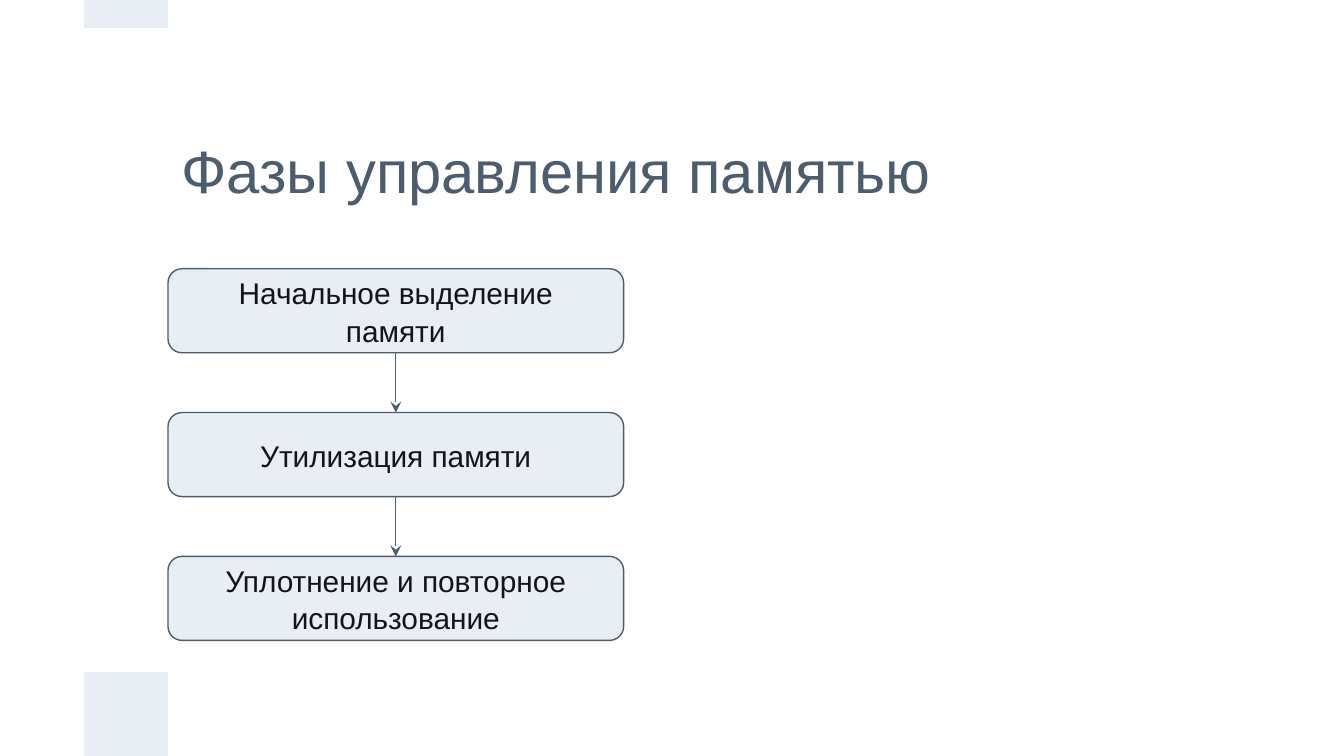
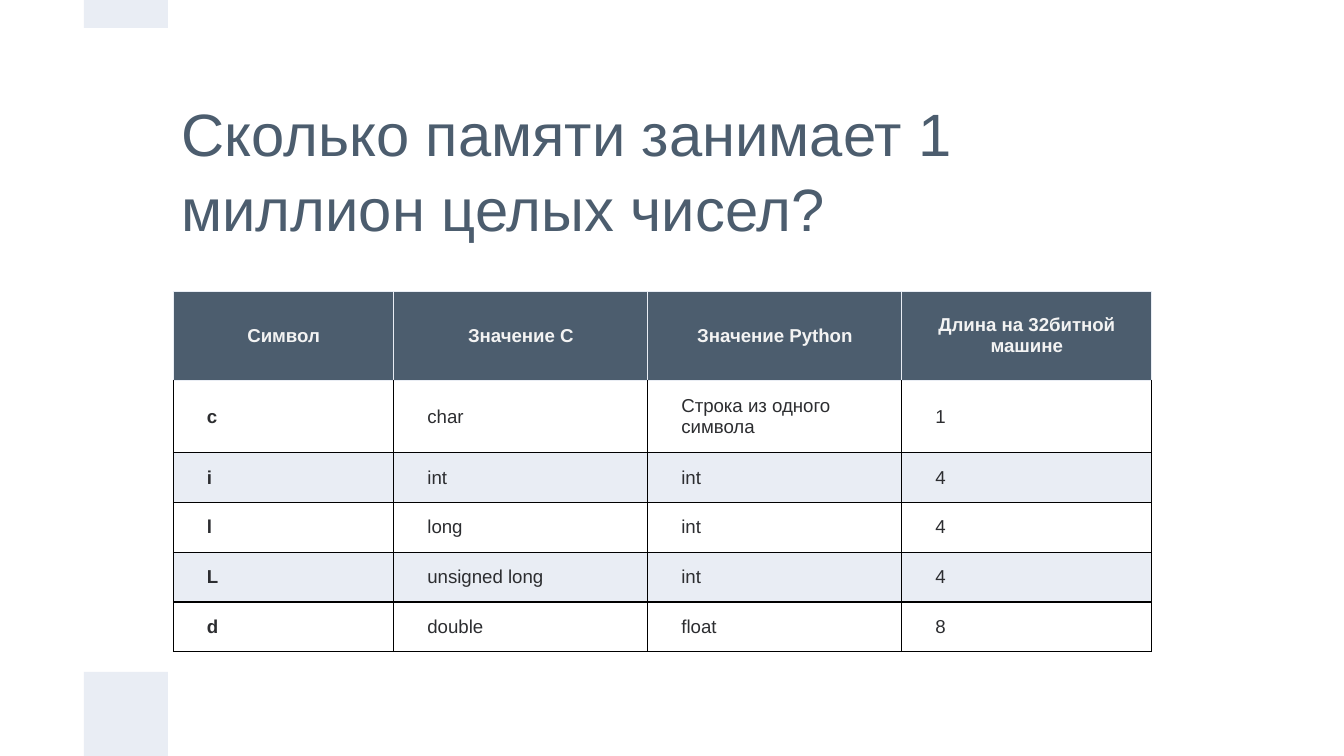
"""Build two slides on memory management: a flow of phases and a table of type sizes."""
import itertools

import pptx
import pptx.dml.color
import pptx.enum.shapes
import pptx.enum.text
import pptx.oxml
import pptx.oxml.ns
import pptx.util

PHASES_TITLE = "Фазы управления памятью"
PHASES = [
    "Начальное выделение памяти",
    "Утилизация памяти",
    "Уплотнение и повторное использование",
]
SIZES_TITLE = "Сколько памяти занимает 1 миллион целых чисел?"
SIZES = [
    ("Символ", "Значение C", "Значение Python", "Длина на 32битной машине"),
    ("c", "char", "Строка из одного символа", "1"),
    ("i", "int", "int", "4"),
    ("l", "long", "int", "4"),
    ("L", "unsigned long", "int", "4"),
    ("d", "double", "float", "8"),
]

COLORS = {
    "slate": "4C5D6E",
    "pale": "E9EDF4",
    "ink": "13131E",
    "header": "F3F3F3",
    "body": "2C2D30",
    "grid": "000000",
}
FONT = "Arial"
LINE_WIDTH = 0.75
WIDTH = 10
UNIT = WIDTH / 16
HEIGHT = 9 * UNIT

BANDS = [(UNIT, 8 * UNIT, UNIT, UNIT), (UNIT, 0, UNIT, UNIT / 3)]
TITLE_AREA = (2 * UNIT, UNIT, 12 * UNIT, 2 * UNIT)
PHASE_LEFT, PHASE_TOP, PHASE_WIDTH, PHASE_STEP = 2 * UNIT, 2, 3.39, 1.07
TABLE_LEFT, TABLE_TOP = 1.29, 2.17
COLUMN_WIDTHS = [1.64, 1.89, 1.89, 1.86]
ROW_HEIGHTS = [0.66, 0.54] + [0.37] * 4

CENTER = pptx.enum.text.PP_ALIGN.CENTER
LEFT = pptx.enum.text.PP_ALIGN.LEFT
MIDDLE = pptx.enum.text.MSO_ANCHOR.MIDDLE
TITLE_STYLE = {"size": 32, "color": "slate", "align": LEFT, "spacing": 1.05}
PHASE_STYLE = {"size": 16, "color": "ink", "align": CENTER, "spacing": 1.05}
HEADER_STYLE = {"size": 10, "color": "header", "align": CENTER, "bold": True}
BODY_STYLE = {"size": 10, "color": "body", "align": LEFT}


def inches(*lengths):
    return [pptx.util.Inches(length) for length in lengths]


def rgb(color):
    return pptx.dml.color.RGBColor.from_string(COLORS[color])


def set_values(target, values):
    for name, value in values.items():
        setattr(target, name, value)


def margins(side, end):
    side, end = inches(side, end)
    return {"margin_left": side, "margin_right": side, "margin_top": end, "margin_bottom": end}


def write(frame, text, size, color, align, bold=False, spacing=1.0):
    paragraph = frame.paragraphs[0]
    set_values(paragraph, {"alignment": align, "line_spacing": spacing})
    run = paragraph.add_run()
    run.text = text
    set_values(run.font, {"name": FONT, "size": pptx.util.Pt(size), "bold": bold})
    run.font.color.rgb = rgb(color)


def fill(part, color):
    part.fill.solid()
    part.fill.fore_color.rgb = rgb(color)


def outline(part):
    part.line.color.rgb = rgb("slate")
    part.line.width = pptx.util.Pt(LINE_WIDTH)


def add_block(slide, preset, area):
    block = slide.shapes.add_shape(preset, *inches(*area))
    block.shadow.inherit = False
    fill(block, "pale")
    return block


def add_slide(deck, heading):
    slide = deck.slides.add_slide(deck.slide_layouts[5])
    for area in BANDS:
        band = add_block(slide, pptx.enum.shapes.MSO_SHAPE.RECTANGLE, area)
        band.line.fill.background()
    title = slide.shapes.title
    set_values(title, dict(zip(("left", "top", "width", "height"), inches(*TITLE_AREA))))
    set_values(title.text_frame, {
        "word_wrap": True,
        "auto_size": pptx.enum.text.MSO_AUTO_SIZE.NONE,
        "vertical_anchor": MIDDLE,
        **margins(0.1, 0.1),
    })
    write(title.text_frame, heading, **TITLE_STYLE)
    return slide


def add_arrow(slide, start, end):
    arrow = slide.shapes.add_connector(pptx.enum.shapes.MSO_CONNECTOR.STRAIGHT, 0, 0, 0, 0)
    arrow.begin_connect(start, 2)
    arrow.end_connect(end, 0)
    outline(arrow)
    namespace = pptx.oxml.ns.nsdecls("a")
    arrow.line._get_or_add_ln().append(
        pptx.oxml.parse_xml(f'<a:tailEnd {namespace} type="stealth"/>'))
    arrow._element.spPr.append(pptx.oxml.parse_xml(f"<a:effectLst {namespace}/>"))


def add_phases(slide):
    boxes = []
    for index, phase in enumerate(PHASES):
        area = (PHASE_LEFT, PHASE_TOP + index * PHASE_STEP, PHASE_WIDTH, UNIT)
        box = add_block(slide, pptx.enum.shapes.MSO_SHAPE.ROUNDED_RECTANGLE, area)
        outline(box)
        set_values(box.text_frame, {
            "word_wrap": True, "vertical_anchor": MIDDLE, **margins(0.1, 0.05)})
        write(box.text_frame, phase, **PHASE_STYLE)
        boxes.append(box)
    for start, end in itertools.pairwise(boxes):
        add_arrow(slide, start, end)


def add_borders(cell, row):
    properties = cell._tc.get_or_add_tcPr()
    for index, side in enumerate("LRTB"):
        pale = row == 0 or (row == 1 and side == "T")
        color = COLORS["pale" if pale else "grid"]
        properties.insert(index, pptx.oxml.parse_xml(
            f'<a:ln{side} {pptx.oxml.ns.nsdecls("a")} w="{pptx.util.Pt(LINE_WIDTH)}">'
            f'<a:solidFill><a:srgbClr val="{color}"/></a:solidFill></a:ln{side}>'))


def add_sizes(slide):
    area = (TABLE_LEFT, TABLE_TOP, sum(COLUMN_WIDTHS), sum(ROW_HEIGHTS))
    table = slide.shapes.add_table(len(SIZES), len(COLUMN_WIDTHS), *inches(*area)).table
    set_values(table, {"first_row": False, "horz_banding": False})
    for column, width in zip(table.columns, inches(*COLUMN_WIDTHS)):
        column.width = width
    for line, height in zip(table.rows, inches(*ROW_HEIGHTS)):
        line.height = height
    for row, values in enumerate(SIZES):
        for column, value in enumerate(values):
            cell = table.cell(row, column)
            set_values(cell, {"vertical_anchor": MIDDLE, **margins(0.25, 0.06)})
            if row == 0:
                fill(cell, "slate")
                write(cell.text_frame, value, **HEADER_STYLE)
            else:
                if row % 2 == 0:
                    fill(cell, "pale")
                else:
                    cell.fill.background()
                write(cell.text_frame, value, bold=column == 0, **BODY_STYLE)
            add_borders(cell, row)


def main():
    deck = pptx.Presentation()
    deck.slide_width, deck.slide_height = inches(WIDTH, HEIGHT)
    add_phases(add_slide(deck, PHASES_TITLE))
    add_sizes(add_slide(deck, SIZES_TITLE))
    deck.save("out.pptx")


if __name__ == "__main__":
    main()
